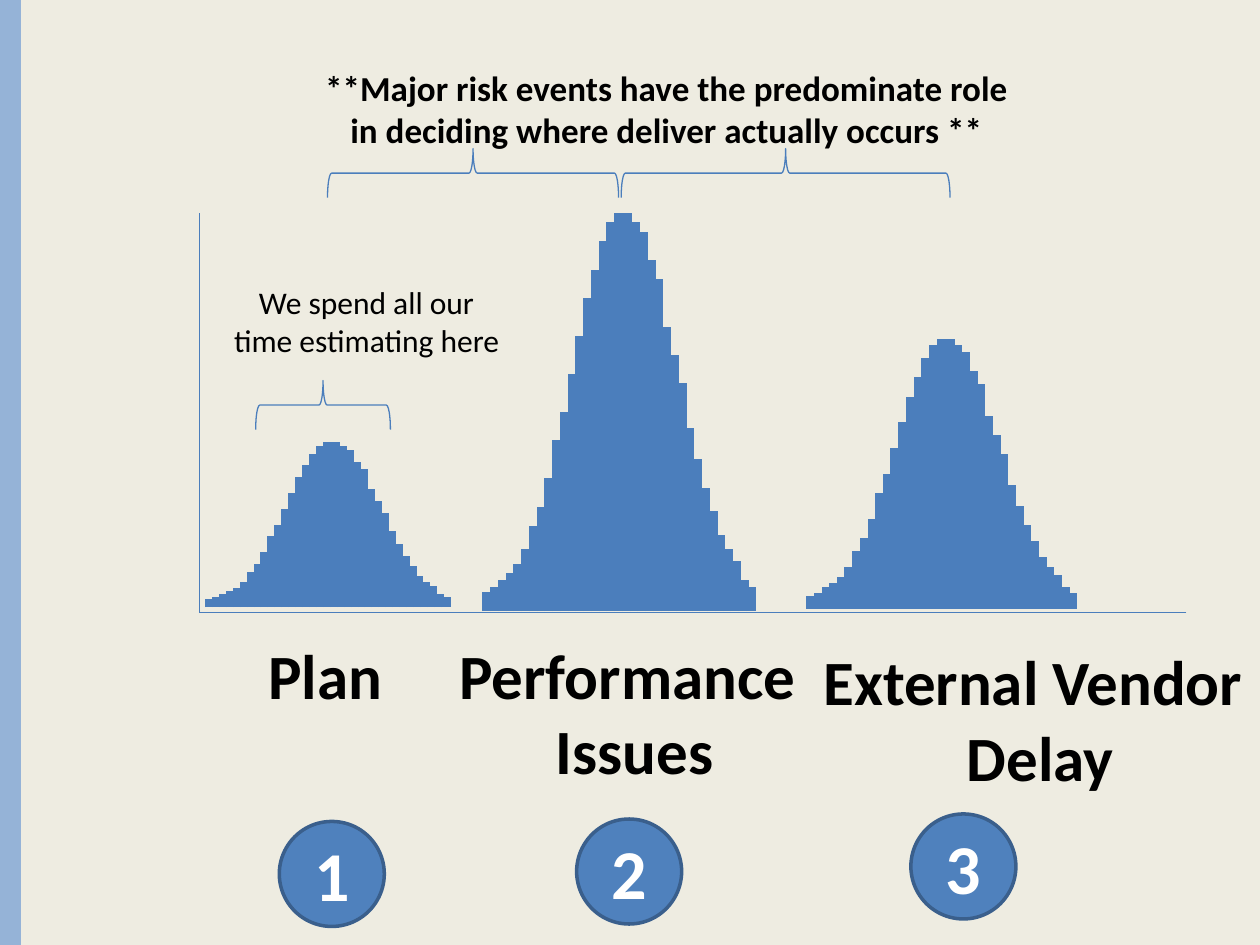
"""Build a slide on risk events: three hills, braces, labels and numbers."""
import pptx
import pptx.dml.color
import pptx.enum.shapes
import pptx.enum.text
import pptx.oxml
import pptx.util

Pt = pptx.util.Pt
Kind = pptx.enum.shapes.MSO_SHAPE
Align = pptx.enum.text.PP_ALIGN
BLUE = "4B7EBC"


def paint(color, value):
    color.rgb = pptx.dml.color.RGBColor.from_string(value)


def write(frame, lines, size, value, bold, align):
    para = frame.paragraphs[0]
    para.alignment = align
    for i, line in enumerate(lines):
        if i:
            para.add_line_break()
        run = para.add_run()
        run.text = line
        run.font.name = "Calibri"
        run.font.size = Pt(size)
        run.font.bold = bold
        paint(run.font.color, value)


deck = pptx.Presentation()
deck.slide_width, deck.slide_height = Pt(720), Pt(540)
slide = deck.slides.add_slide(deck.slide_layouts[6])
slide.background.fill.solid()
paint(slide.background.fill.fore_color, "EEECE1")
shapes = slide.shapes

band = shapes.add_shape(Kind.RECTANGLE, 0, 0, Pt(12), Pt(540))
band.shadow.inherit = False
band.fill.solid()
paint(band.fill.fore_color, "95B3D7")
band.line.fill.background()

curve = [2, 2.5, 3.3, 4, 5, 6.5, 9, 11, 14, 18, 21, 25, 29, 33, 36, 39, 41, 42,
         42, 41, 40, 37, 35, 30, 27, 24, 19.3, 16, 13, 10.5, 8, 6.5, 5.3, 3.3, 2.5]
hills = [(120.2, 3.96, 347, 2.25), (463.7, 4.38, 347.8, 3.67), (278.6, 4.43, 349.2, 5.42)]
lines = [(shapes, 114, 122, 114, 350, 0.75), (shapes, 678, 350, 114, 350, 0.75)]
for left, step, base, scale in hills:
    group = shapes.add_group_shape().shapes
    for i, level in enumerate(curve):
        x = left + i * step
        lines.append((group, x, base, x, base - level * scale, 6))

for home, x1, y1, x2, y2, width in lines:
    line = home.add_connector(pptx.enum.shapes.MSO_CONNECTOR.STRAIGHT,
                              Pt(x1), Pt(y1), Pt(x2), Pt(y2))
    line.line.width = Pt(width)
    paint(line.line.color, BLUE)
    line._element.spPr.append(pptx.oxml.parse_xml(
        '<a:effectLst xmlns:a="http://schemas.openxmlformats.org/drawingml/2006/main"/>'))

for left, top, height in [(170.6, 193, 77), (256.3, 15.8, 166.3), (434.9, 5, 187.9)]:
    brace = shapes.add_shape(Kind.LEFT_BRACE, Pt(left), Pt(top), Pt(28), Pt(height))
    brace.rotation = 90
    brace.shadow.inherit = False
    brace.fill.background()
    brace.line.width = Pt(0.75)
    paint(brace.line.color, BLUE)

for i, (left, top) in enumerate([(159.6, 469.4), (329.5, 468), (520.5, 465.1)], 1):
    disc = shapes.add_shape(Kind.OVAL, Pt(left), Pt(top), Pt(60), Pt(60))
    disc.shadow.inherit = False
    disc.fill.solid()
    paint(disc.fill.fore_color, "4F81BD")
    disc.line.width = Pt(2)
    paint(disc.line.color, "3A5F8C")
    disc.text_frame.vertical_anchor = pptx.enum.text.MSO_ANCHOR.MIDDLE
    write(disc.text_frame, [str(i)], 40, "FFFFFF", True, Align.CENTER)

notes = [
    (123.1, 158.4, 172.8, 51, ["We spend all our time estimating here"], 18, False, True, Align.CENTER),
    (175.7, 34.6, 410.4, 55.4, ["**Major risk events have the predominate role in deciding "
                                "where deliver actually occurs **"], 20, True, True, Align.CENTER),
    (146.2, 360, 85.7, 51, ["Plan"], 36, True, True, Align.LEFT),
    (254.2, 360, 216.7, 94.3, ["Performance ", "Issues"], 36, True, False, Align.CENTER),
    (462.2, 363.6, 256.3, 94.3, ["External Vendor", " Delay"], 36, True, False, Align.CENTER),
]
for left, top, width, height, words, size, bold, wrap, align in notes:
    box = shapes.add_textbox(Pt(left), Pt(top), Pt(width), Pt(height))
    box.text_frame.word_wrap = wrap
    box.text_frame.auto_size = pptx.enum.text.MSO_AUTO_SIZE.SHAPE_TO_FIT_TEXT
    write(box.text_frame, words, size, "000000", bold, align)

deck.save("out.pptx")
